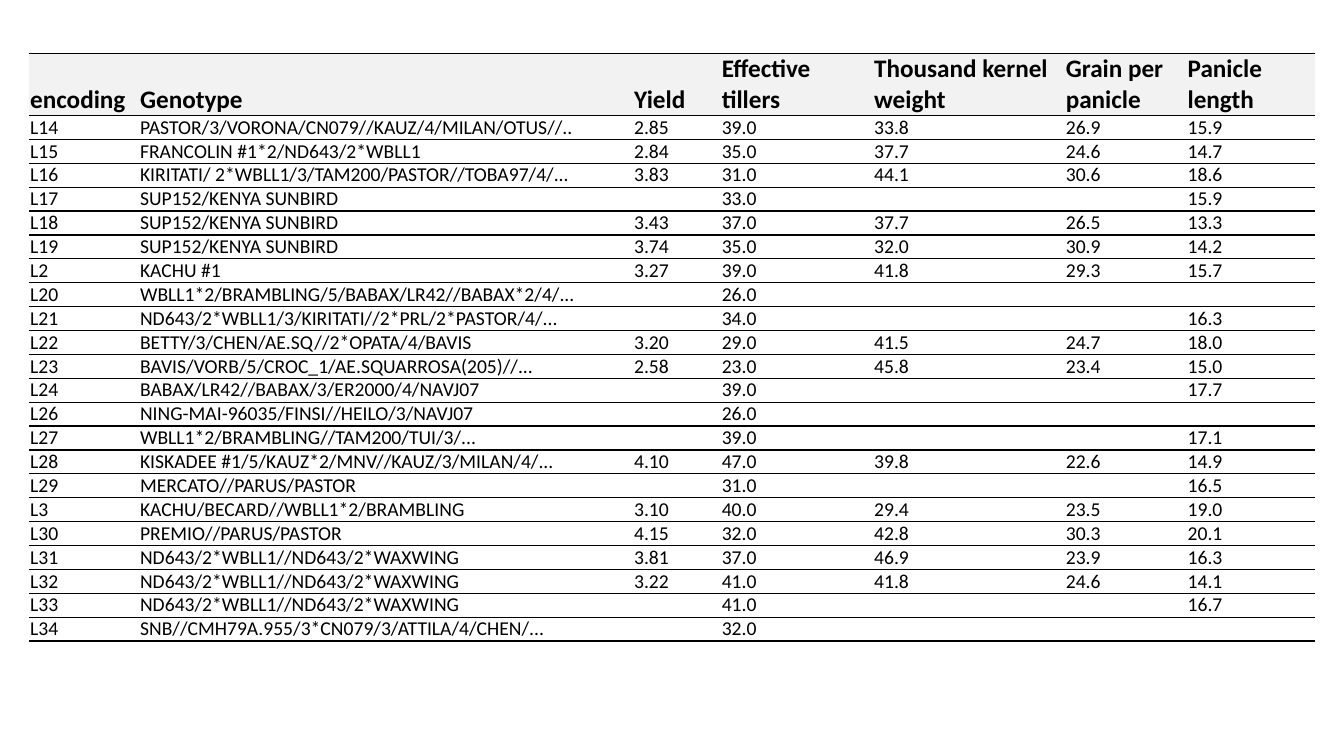
import lxml.etree
import pptx
import pptx.dml.color
import pptx.enum.text
import pptx.oxml.ns
import pptx.util

Cm, Pt = pptx.util.Cm, pptx.util.Pt
qn = pptx.oxml.ns.qn

COLORS = {"text": "000000", "rule": "000000", "header": "F2F2F2"}
PLAIN_STYLE = "{2D5ABB26-0587-4C30-8999-92F81FD0307C}"
COLUMN_WIDTHS = [2.77, 12.45, 2.21, 3.84, 4.83, 3.07, 3.23]
HEADER = ("encoding", "Genotype", "Yield", "Effective tillers",
          "Thousand kernel weight", "Grain per panicle", "Panicle length")
LINES = [
    ("L14", "PASTOR/3/VORONA/CN079//KAUZ/4/MILAN/OTUS//..", "2.85", "39.0", "33.8", "26.9", "15.9"),
    ("L15", "FRANCOLIN #1*2/ND643/2*WBLL1", "2.84", "35.0", "37.7", "24.6", "14.7"),
    ("L16", "KIRITATI/ 2*WBLL1/3/TAM200/PASTOR//TOBA97/4/...", "3.83", "31.0", "44.1", "30.6", "18.6"),
    ("L17", "SUP152/KENYA SUNBIRD", "", "33.0", "", "", "15.9"),
    ("L18", "SUP152/KENYA SUNBIRD", "3.43", "37.0", "37.7", "26.5", "13.3"),
    ("L19", "SUP152/KENYA SUNBIRD", "3.74", "35.0", "32.0", "30.9", "14.2"),
    ("L2", "KACHU #1", "3.27", "39.0", "41.8", "29.3", "15.7"),
    ("L20", "WBLL1*2/BRAMBLING/5/BABAX/LR42//BABAX*2/4/...", "", "26.0", "", "", ""),
    ("L21", "ND643/2*WBLL1/3/KIRITATI//2*PRL/2*PASTOR/4/...", "", "34.0", "", "", "16.3"),
    ("L22", "BETTY/3/CHEN/AE.SQ//2*OPATA/4/BAVIS", "3.20", "29.0", "41.5", "24.7", "18.0"),
    ("L23", "BAVIS/VORB/5/CROC_1/AE.SQUARROSA(205)//...", "2.58", "23.0", "45.8", "23.4", "15.0"),
    ("L24", "BABAX/LR42//BABAX/3/ER2000/4/NAVJ07", "", "39.0", "", "", "17.7"),
    ("L26", "NING-MAI-96035/FINSI//HEILO/3/NAVJ07", "", "26.0", "", "", ""),
    ("L27", "WBLL1*2/BRAMBLING//TAM200/TUI/3/...", "", "39.0", "", "", "17.1"),
    ("L28", "KISKADEE #1/5/KAUZ*2/MNV//KAUZ/3/MILAN/4/...", "4.10", "47.0", "39.8", "22.6", "14.9"),
    ("L29", "MERCATO//PARUS/PASTOR", "", "31.0", "", "", "16.5"),
    ("L3", "KACHU/BECARD//WBLL1*2/BRAMBLING", "3.10", "40.0", "29.4", "23.5", "19.0"),
    ("L30", "PREMIO//PARUS/PASTOR", "4.15", "32.0", "42.8", "30.3", "20.1"),
    ("L31", "ND643/2*WBLL1//ND643/2*WAXWING", "3.81", "37.0", "46.9", "23.9", "16.3"),
    ("L32", "ND643/2*WBLL1//ND643/2*WAXWING", "3.22", "41.0", "41.8", "24.6", "14.1"),
    ("L33", "ND643/2*WBLL1//ND643/2*WAXWING", "", "41.0", "", "", "16.7"),
    ("L34", "SNB//CMH79A.955/3*CN079/3/ATTILA/4/CHEN/...", "", "32.0", "", "", ""),
]


class Deck:
    """Holds the table style and the current slide."""

    font = "Calibri"
    header_size, body_size = 18, 14
    header_height, body_height = 1.56, 0.6
    side_margin = 0.03
    rule_width = 1

    def __init__(self, prs):
        self.s = prs.slides.add_slide(prs.slide_layouts[6])

    def rules(self, cell):
        tc_pr = cell._tc.get_or_add_tcPr()
        for edge in ("a:lnT", "a:lnB"):
            ln = lxml.etree.SubElement(tc_pr, qn(edge), w=str(Pt(self.rule_width)))
            fill = lxml.etree.SubElement(ln, qn("a:solidFill"))
            lxml.etree.SubElement(fill, qn("a:srgbClr"), val=COLORS["rule"])

    def cell(self, cell, text, is_header):
        size = self.header_size if is_header else self.body_size
        cell.margin_left = cell.margin_right = Cm(self.side_margin)
        cell.margin_top = cell.margin_bottom = 0
        self.rules(cell)
        if is_header:
            cell.vertical_anchor = pptx.enum.text.MSO_ANCHOR.BOTTOM
            cell.fill.solid()
            cell.fill.fore_color.rgb = pptx.dml.color.RGBColor.from_string(COLORS["header"])
        else:
            cell.fill.background()
        p = cell.text_frame.paragraphs[0]
        if text:
            p.text = text
        else:
            lxml.etree.SubElement(p._p, qn("a:endParaRPr"), sz=str(size * 100))
        p.space_after = Pt(1.8)
        p.font.name = self.font
        p.font.size = Pt(size)
        p.font.bold = is_header
        p.font.color.rgb = pptx.dml.color.RGBColor.from_string(COLORS["text"])

    def table(self, left, top, widths, rows):
        height = self.header_height + self.body_height * (len(rows) - 1)
        frame = self.s.shapes.add_table(len(rows), len(widths), Cm(left), Cm(top),
                                        Cm(sum(widths)), Cm(height))
        table = frame.table
        table.horz_banding = False
        table._tbl.tblPr.find(qn("a:tableStyleId")).text = PLAIN_STYLE
        for column, width in zip(table.columns, widths):
            column.width = Cm(width)
        for i, values in enumerate(rows):
            is_header = i == 0
            table.rows[i].height = Cm(self.header_height if is_header else self.body_height)
            for j, text in enumerate(values):
                self.cell(table.cell(i, j), text, is_header)


def main():
    prs = pptx.Presentation()
    prs.slide_width, prs.slide_height = Cm(33.87), Cm(19.05)
    Deck(prs).table(0.73, 1.35, COLUMN_WIDTHS, [HEADER] + LINES)
    prs.save("out.pptx")


if __name__ == "__main__":
    main()
